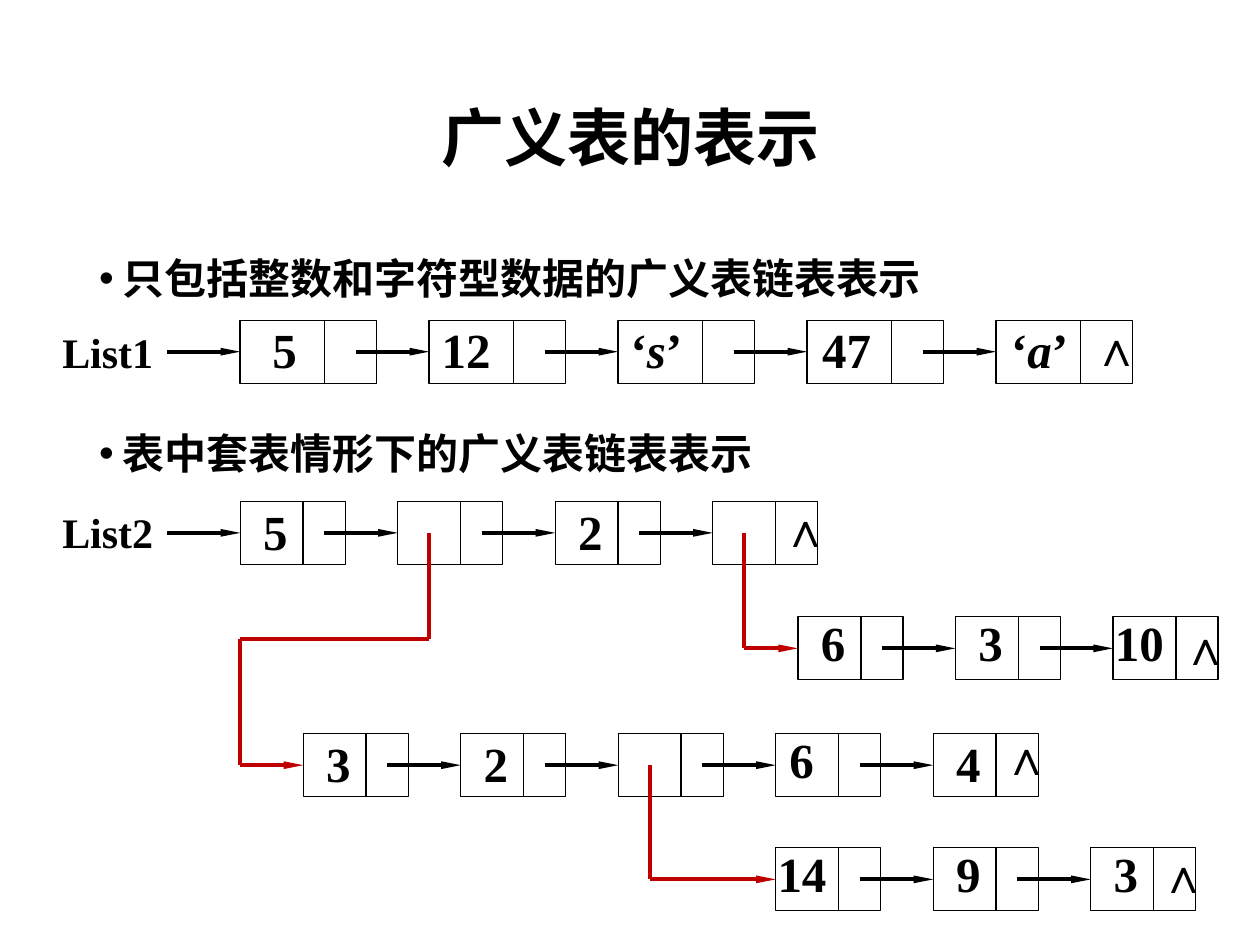
from itertools import groupby

from lxml.etree import SubElement
from pptx import Presentation
from pptx.dml.color import RGBColor
from pptx.enum.shapes import MSO_CONNECTOR, MSO_SHAPE
from pptx.enum.text import MSO_ANCHOR, MSO_AUTO_SIZE, PP_ALIGN
from pptx.oxml.ns import qn
from pptx.util import Pt

BLACK = "000000"
RED = "C00000"
NODE_HEIGHT = 48
ARROW_LENGTH = 56
LABEL_WIDTHS = {1: 38, 2: 57, 3: 66}


def px(value):
    return value * 9525


def color(value):
    return RGBColor.from_string(value)


class SlideBuilder:
    latin_font = "Times New Roman"
    chinese_font = "Noto Sans CJK SC"

    def __init__(self, slide):
        self.slide = slide

    def run(self, paragraph, text, size, font_name, italic=None):
        run = paragraph.add_run()
        run.text = text
        run.font.size = Pt(size)
        run.font.bold = True
        run.font.italic = italic
        run.font.name = font_name
        run.font.color.rgb = color(BLACK)
        SubElement(run.font._element, qn("a:ea"), typeface=font_name)

    def place(self, shape, left, top, width, height):
        shape.left, shape.top = px(left), px(top)
        shape.width, shape.height = px(width), px(height)
        shape.text_frame.auto_size = MSO_AUTO_SIZE.NONE

    def title(self, text, left, top, width, height):
        shape = self.slide.shapes.title
        self.place(shape, left, top, width, height)
        shape.text_frame.vertical_anchor = MSO_ANCHOR.MIDDLE
        paragraph = shape.text_frame.paragraphs[0]
        paragraph.alignment = PP_ALIGN.CENTER
        paragraph.line_spacing = 0.9
        self.run(paragraph, text, 36, self.chinese_font)

    def bullets(self, items, gap, left, top, width, height):
        shape = self.slide.placeholders[1]
        self.place(shape, left, top, width, height)
        frame = shape.text_frame
        for index, text in enumerate(items):
            paragraph = frame.add_paragraph() if index else frame.paragraphs[0]
            paragraph.line_spacing = 0.9
            paragraph.space_before = Pt(gap if index else 0)
            properties = paragraph._p.get_or_add_pPr()
            properties.set("marL", str(px(18)))
            properties.set("indent", str(px(-18)))
            SubElement(properties, qn("a:buFont"), typeface="Arial")
            SubElement(properties, qn("a:buChar"), char="•")
            self.run(paragraph, text, 24, self.chinese_font)

    def text_box(self, left, top, width, height):
        box = self.slide.shapes.add_textbox(px(left), px(top), px(width), px(height))
        box.text_frame.word_wrap = False
        box.text_frame.auto_size = MSO_AUTO_SIZE.SHAPE_TO_FIT_TEXT
        return box.text_frame.paragraphs[0]

    def name(self, text, left, top):
        paragraph = self.text_box(left, top, 89, 48)
        self.run(paragraph, text, 24, self.latin_font)

    def value(self, text, left, top, width):
        paragraph = self.text_box(left, top, width, 55)
        for italic, characters in groupby(text, str.isalpha):
            self.run(paragraph, "".join(characters), 28, self.latin_font, italic or None)

    def line(self, start, end, line_color=BLACK, width=2.25, node=None):
        points = [px(value) for value in (*start, *end)]
        connector = self.slide.shapes.add_connector(MSO_CONNECTOR.STRAIGHT, *points)
        connector.line.width = Pt(width)
        connector.line.color.rgb = color(line_color)
        properties = connector._element.spPr
        if node is not None:
            SubElement(properties.find(qn("a:ln")), qn("a:tailEnd"), type="triangle", w="sm", len="lg")
            connector.end_connect(node, 1)
        SubElement(properties, qn("a:effectLst"))

    def node(self, left, top, width, divider):
        shape = self.slide.shapes.add_shape(
            MSO_SHAPE.RECTANGLE, px(left), px(top), px(width), px(NODE_HEIGHT))
        shape.shadow.inherit = False
        shape.fill.background()
        shape.line.width = Pt(0.75)
        shape.line.color.rgb = color(BLACK)
        self.line((left + divider, top), (left + divider, top + NODE_HEIGHT), width=0.75)
        return shape

    def chain(self, left, top, values, label_rise, end_mark, headed=False,
              width=80, divider=48, pitch=120):
        nodes = []
        middle = top + NODE_HEIGHT // 2
        for index, (text, shift, extra_rise) in enumerate(values):
            x = left + index * pitch
            node = self.node(x, top, width, divider)
            nodes.append(node)
            if index or headed:
                self.line((x - ARROW_LENGTH, middle), (x, middle), node=node)
            if text:
                self.value(text, x + shift, top - label_rise - extra_rise, LABEL_WIDTHS[len(text)])
        mark_shift, mark_rise = end_mark
        self.value("∧", x + mark_shift, top - mark_rise, 42)
        return nodes

    def branch(self, points, node):
        last = len(points) - 2
        for index, (start, end) in enumerate(zip(points, points[1:])):
            self.line(start, end, RED, node=node if index == last else None)


def plain(*texts):
    return [(text, 8 if len(text) < 2 else -8, 0) for text in texts]


def main():
    presentation = Presentation()
    presentation.slide_width, presentation.slide_height = px(960), px(720)
    slide = presentation.slides.add_slide(presentation.slide_layouts[1])
    builder = SlideBuilder(slide)

    builder.title("广义表的表示", 66, 38, 828, 139)
    builder.bullets(["只包括整数和字符型数据的广义表链表表示", "表中套表情形下的广义表链表表示"],
                    74, 66, 192, 828, 457)

    builder.name("List1", 38, 244)
    characters = [("5", 15, 0), ("12", 0, 0), ("‘s’", 0, 0), ("47", 2, 0), ("‘a’", 2, 0)]
    builder.chain(183, 244, characters, 5, (64, 7), True, width=104, divider=64, pitch=144)

    builder.name("List2", 38, 381)
    builder.chain(183, 382, plain("5", "", "2", ""), 5, (43, 7), True)
    upper = builder.chain(608, 470, plain("6", "3", "10"), 8, (43, 5))
    middle = builder.chain(231, 559, plain("3", "2", "") + [("6", 1, 3)] + plain("4"), 5, (43, 10))
    lower = builder.chain(591, 646, plain("14", "9", "3"), 8, (43, 7))

    builder.branch([(567, 406), (567, 494), (608, 494)], upper[0])
    builder.branch([(327, 406), (327, 487), (183, 487), (183, 583), (231, 583)], middle[0])
    builder.branch([(495, 583), (495, 670), (591, 670)], lower[0])

    presentation.save("out.pptx")


if __name__ == "__main__":
    main()
